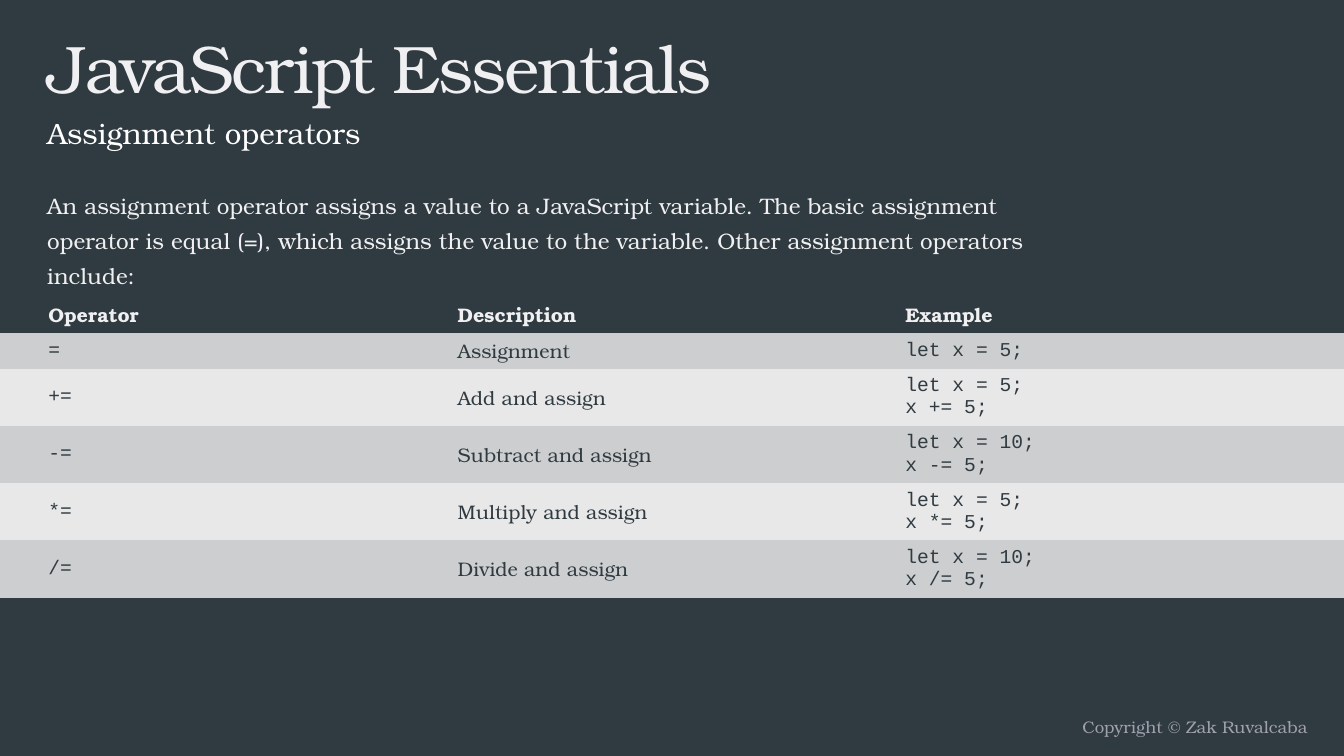
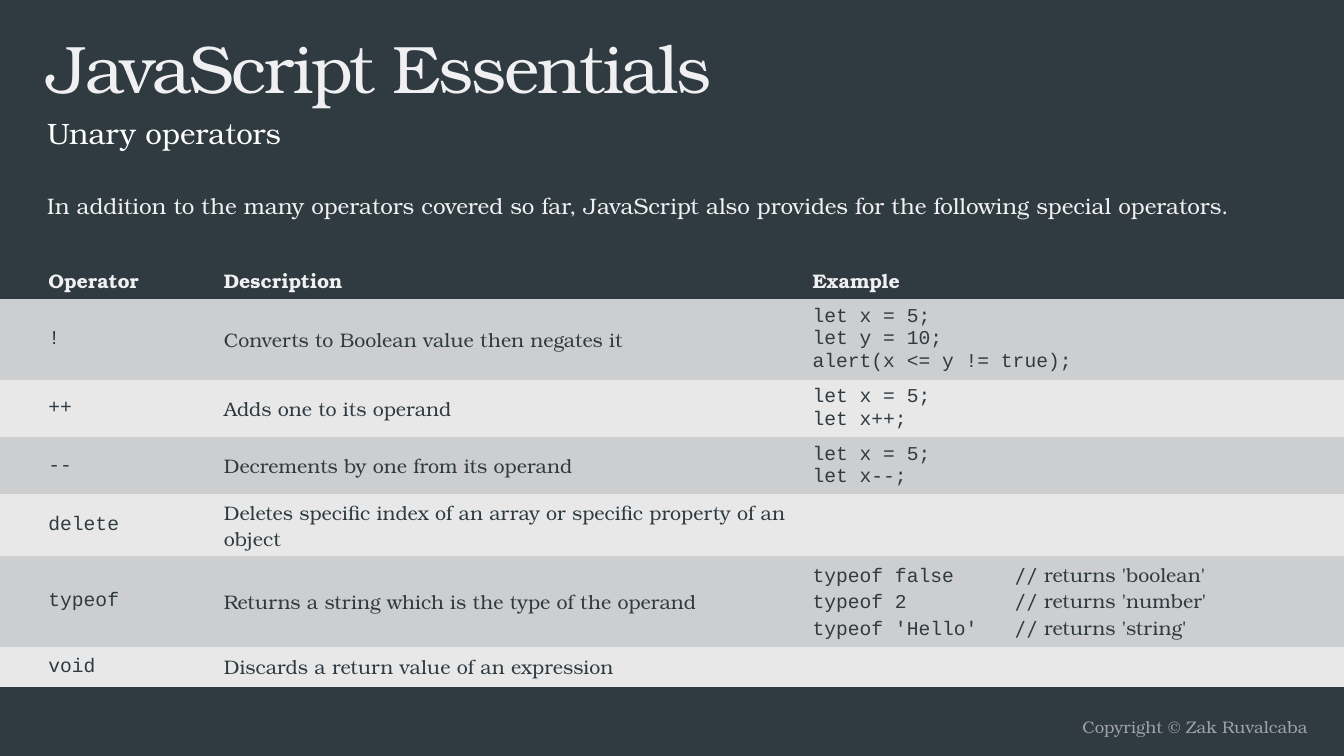
from dataclasses import dataclass

from lxml.etree import SubElement
from pptx import Presentation
from pptx.dml.color import RGBColor
from pptx.enum.text import MSO_ANCHOR as Anchor, PP_ALIGN as Align
from pptx.oxml.ns import qn
from pptx.util import Inches, Pt

COLORS = {
    "background": "303B41",
    "light": "F0F0F2",
    "white": "FFFFFF",
    "footer": "A1A1AD",
    "dark_row": "CDCECF",
    "light_row": "E8E8E9",
}
SERIF, CODE = "TeX Gyre Bonum", "Courier New"
NO_GRID_STYLE = "{2D5ABB26-0587-4C30-8999-92F81FD0307C}"
HEADINGS = ("Operator", "Description", "Example")
COMMENT_TAB = 2.0


@dataclass(frozen=True)
class Operator:
    symbol: str
    description: str
    example: str
    height: float


@dataclass(frozen=True)
class Lesson:
    subtitle: str
    intro: str
    intro_size: tuple[float, float]
    table_top: float
    column_widths: tuple[float, ...]
    operators: tuple[Operator, ...]


LESSONS = (
    Lesson(
        "Assignment operators",
        "An assignment operator assigns a value to a JavaScript variable. "
        "The basic assignment operator is equal (=), which assigns the value "
        "to the variable. Other assignment operators include:",
        (10.55, 0.92), 2.92, (4.44, 4.44, 4.45),
        (
            Operator("=", "Assignment", "let x = 5;", 0.36),
            Operator("+=", "Add and assign", "let x = 5;\nx += 5;", 0.54),
            Operator("-=", "Subtract and assign", "let x = 10;\nx -= 5;", 0.54),
            Operator("*=", "Multiply and assign", "let x = 5;\nx *= 5;", 0.54),
            Operator("/=", "Divide and assign", "let x = 10;\nx /= 5;", 0.54),
        ),
    ),
    Lesson(
        "Unary operators",
        "In addition to the many operators covered so far, JavaScript also "
        "provides for the following special operators.",
        (12.6, 5.12), 2.59, (2.12, 5.84, 5.37),
        (
            Operator("!", "Converts to Boolean value then negates it",
                     "let x = 5;\nlet y = 10;\nalert(x <= y != true);", 0.76),
            Operator("++", "Adds one to its operand", "let x = 5;\nlet x++;", 0.54),
            Operator("--", "Decrements by one from its operand",
                     "let x = 5;\nlet x--;", 0.54),
            Operator("delete", "Deletes specific index of an array or specific "
                     "property of an object", "", 0.61),
            Operator("typeof", "Returns a string which is the type of the operand",
                     "typeof false\t// returns 'boolean'\n"
                     "typeof 2\t// returns 'number'\n"
                     "typeof 'Hello'\t// returns 'string'", 0.9),
            Operator("void", "Discards a return value of an expression", "", 0.36),
        ),
    ),
)


def rgb(name: str) -> RGBColor:
    return RGBColor.from_string(COLORS[name])


def write(paragraph, text: str, *, size: float, color: str, font: str = SERIF,
          bold: bool = False, tracking: float = 0) -> None:
    """Add text; what follows a tab is a comment in the serif font."""
    for number, line in enumerate(text.split("\n")):
        if number:
            paragraph.add_line_break()
        code, tab, comment = line.partition("\t")
        for part, face in ((code + tab, font), (comment, SERIF)):
            if part or (not text and face == font):
                run = paragraph.add_run()
                run.text = part
                run.font.name = face
                run.font.size = Pt(size)
                run.font.bold = bold
                run.font.color.rgb = rgb(color)
                if tracking:
                    run.font._element.set("spc", str(round(tracking * 100)))


def add_text(slide, text: str, left: float, top: float, width: float, height: float,
             *, align=Align.LEFT, spacing: float = 1.0, **style) -> None:
    frame = slide.shapes.add_textbox(
        Inches(left), Inches(top), Inches(width), Inches(height)).text_frame
    frame.word_wrap = True
    paragraph = frame.paragraphs[0]
    paragraph.alignment = align
    paragraph.line_spacing = spacing
    write(paragraph, text, **style)


def fill_cell(cell, text: str, fill: str, **style) -> None:
    cell.fill.solid()
    cell.fill.fore_color.rgb = rgb(fill)
    cell.vertical_anchor = Anchor.MIDDLE
    paragraph = cell.text_frame.paragraphs[0]
    if "\t" in text:
        stops = SubElement(paragraph._p.get_or_add_pPr(), qn("a:tabLst"))
        SubElement(stops, qn("a:tab"), pos=str(Inches(COMMENT_TAB)), algn="l")
    write(paragraph, text, size=14, **style)


def add_operator_table(slide, lesson: Lesson) -> None:
    heights = (0.38, *(operator.height for operator in lesson.operators))
    table = slide.shapes.add_table(
        len(heights), len(HEADINGS), 0, Inches(lesson.table_top),
        Inches(sum(lesson.column_widths)), Inches(sum(heights))).table
    table._tbl.tblPr.find(qn("a:tableStyleId")).text = NO_GRID_STYLE
    for column, width in zip(table.columns, lesson.column_widths):
        column.width = Inches(width)
    for row, height in zip(table.rows, heights):
        row.height = Inches(height)
        row.cells[0].margin_left = Inches(0.48)

    # Heading row, then alternating operator rows
    for column, heading in enumerate(HEADINGS):
        fill_cell(table.cell(0, column), heading, "background", color="light", bold=True)
    for row, operator in enumerate(lesson.operators, start=1):
        band = "dark_row" if row % 2 else "light_row"
        texts = (operator.symbol, operator.description, operator.example)
        for column, (text, font) in enumerate(zip(texts, (CODE, SERIF, CODE))):
            fill_cell(table.cell(row, column), text, band, color="background", font=font)


def add_lesson(deck, lesson: Lesson) -> None:
    slide = deck.slides.add_slide(deck.slide_layouts[6])
    # Footer and headings
    add_text(slide, "Copyright © Zak Ruvalcaba", 6.67, 7.06, 6.4, 0.31,
             align=Align.RIGHT, size=12, color="footer")
    add_text(slide, "JavaScript Essentials", 0.37, 0.21, 11.76, 0.79,
             size=48, color="light", tracking=-1.5)
    add_text(slide, lesson.intro, 0.37, 1.78, *lesson.intro_size,
             spacing=1.3, size=16, color="light")
    add_text(slide, lesson.subtitle, 0.37, 0.99, 11.76, 0.39,
             spacing=1.3, size=21, color="white")
    # Operators
    add_operator_table(slide, lesson)


def main() -> None:
    deck = Presentation()
    deck.slide_width, deck.slide_height = Inches(13.33), Inches(7.5)
    background = deck.slide_master.background.fill
    background.solid()
    background.fore_color.rgb = rgb("background")
    for lesson in LESSONS:
        add_lesson(deck, lesson)
    deck.save("out.pptx")


if __name__ == "__main__":
    main()
